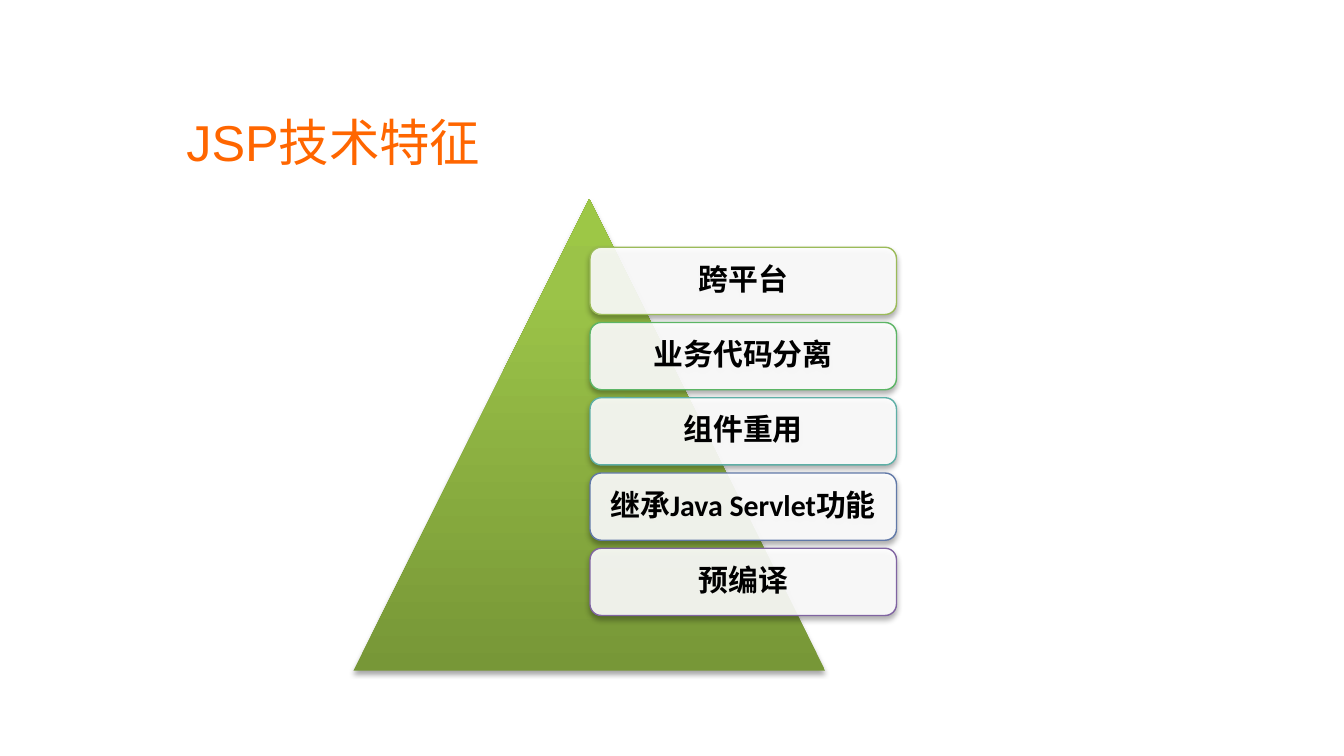
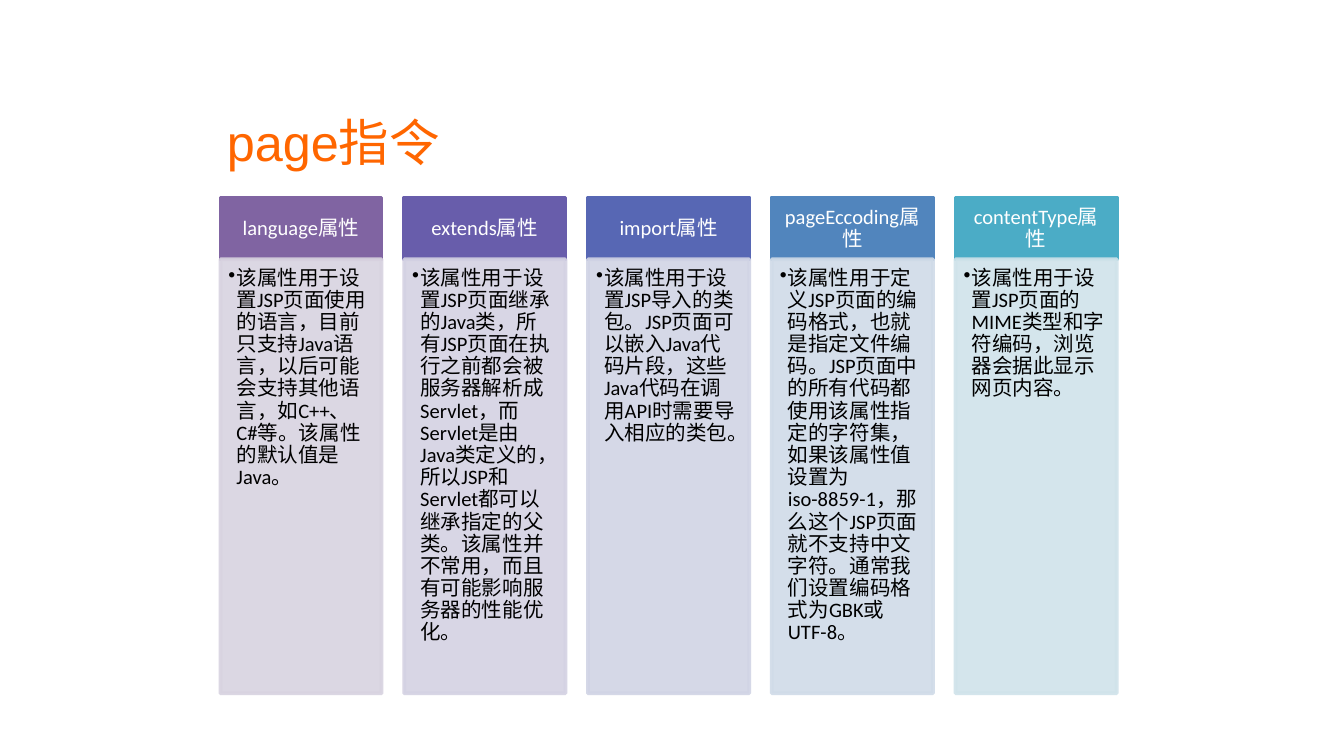
from copy import deepcopy
from dataclasses import dataclass

from lxml.etree import SubElement
from pptx import Presentation
from pptx.dml.color import RGBColor
from pptx.enum.shapes import MSO_SHAPE
from pptx.enum.text import MSO_ANCHOR, MSO_AUTO_SIZE, PP_ALIGN
from pptx.oxml.ns import qn
from pptx.util import Inches, Pt


@dataclass(frozen=True)
class Theme:
    title_font: str = "Arial"
    body_font: str = "Calibri"
    title_color: str = "FF6600"
    dark: str = "000000"
    light: str = "FFFFFF"
    pyramid_stops: tuple = ((0, "779737"), (0.8, "9BC348"), (1, "9DC746"))
    title_size: int = 27
    feature_size: int = 16
    column_size: int = 11


theme = Theme()


def add_panel(page, kind, bounds, fill, line=None, weight=0, opacity=100, line_opacity=100, shadow=False):
    panel = page.shapes.add_shape(kind, *[Inches(value) for value in bounds])
    panel.fill.solid()
    panel.fill.fore_color.rgb = RGBColor.from_string(fill)
    if line:
        panel.line.color.rgb = RGBColor.from_string(line)
        panel.line.width = Pt(weight)
    else:
        panel.line.fill.background()
    properties = panel._element.spPr
    for parent, value in ((properties, opacity), (properties.find(qn("a:ln")), line_opacity)):
        if value < 100:
            color = parent.find(qn("a:solidFill")).find(qn("a:srgbClr"))
            SubElement(color, qn("a:alpha"), val=str(value * 1000))
    panel.shadow.inherit = False
    if shadow:
        outer = SubElement(properties.find(qn("a:effectLst")), qn("a:outerShdw"),
                           blurRad=str(Pt(3.1)), dist=str(Pt(1.8)), dir="5400000", rotWithShape="0")
        color = SubElement(outer, qn("a:srgbClr"), val=theme.dark)
        SubElement(color, qn("a:alpha"), val="35000")
    return panel


def write_text(box, text, font, size, color, insets, bold=False, align=PP_ALIGN.CENTER,
               anchor=MSO_ANCHOR.MIDDLE, spacing=0.9, after=0.35):
    frame = box.text_frame
    frame.word_wrap = True
    frame.auto_size = MSO_AUTO_SIZE.NONE
    frame.vertical_anchor = anchor
    frame.margin_left, frame.margin_top, frame.margin_right, frame.margin_bottom = map(Inches, insets)
    frame.text = text
    para = frame.paragraphs[0]
    para.alignment = align
    para.line_spacing = spacing
    para.space_after = Pt(size * after)
    para.font.name = font
    para.font.size = Pt(size)
    para.font.bold = bold
    para.font.color.rgb = RGBColor.from_string(color)
    return para


deck = Presentation()
deck.slide_width = Inches(10)
deck.slide_height = deck.slide_width * 9 // 16

pages = []
for heading in ("JSP技术特征", "page指令"):
    page = deck.slides.add_slide(deck.slide_layouts[5])
    title = page.shapes.title
    title.left, title.top, title.width, title.height = map(Inches, (0.74, 0.67, 3.48, 0.77))
    write_text(title, heading, theme.title_font, theme.title_size, theme.title_color,
               (0.07, 0.04, 0.07, 0.04), spacing=1.0, after=0)
    pages.append(page)
features_page, directive_page = pages

pyramid = add_panel(features_page, MSO_SHAPE.ISOSCELES_TRIANGLE, (2.63, 1.48, 3.51, 3.51),
                    theme.pyramid_stops[0][1], shadow=True)
pyramid.fill.gradient()
pyramid.fill.gradient_angle = 90
stop_list = pyramid._element.spPr.find(qn("a:gradFill")).find(qn("a:gsLst"))
stop_list.append(deepcopy(stop_list[-1]))
for stop, (position, color) in zip(pyramid.fill.gradient_stops, theme.pyramid_stops):
    stop.position = position
    stop.color.rgb = RGBColor.from_string(color)

features = (
    ("跨平台", "9BBB59"),
    ("业务代码分离", "5CB565"),
    ("组件重用", "5EAFA6"),
    ("继承Java Servlet功能", "6179A8"),
    ("预编译", "8064A2"),
)
for index, (feature, outline) in enumerate(features):
    box = add_panel(features_page, MSO_SHAPE.ROUNDED_RECTANGLE, (4.39, 1.84 + index * 0.56, 2.28, 0.5),
                    theme.light, outline, 0.75, opacity=90, shadow=True)
    write_text(box, feature, theme.body_font, theme.feature_size, theme.dark, (0.07,) * 4, bold=True)

attributes = (
    ("language属性", "8064A2", "D8D3E0",
     "该属性用于设置JSP页面使用的语言，目前只支持Java语言，以后可能会支持其他语言，"
     "如C++、C#等。该属性的默认值是Java。"),
    ("extends属性", "685DAB", "D4D2E3",
     "该属性用于设置JSP页面继承的Java类，所有JSP页面在执行之前都会被服务器解析成Servlet，"
     "而Servlet是由Java类定义的，所以JSP和Servlet都可以继承指定的父类。"
     "该属性并不常用，而且有可能影响服务器的性能优化。"),
    ("import属性", "5767B4", "D1D4E5",
     "该属性用于设置JSP导入的类包。JSP页面可以嵌入Java代码片段，"
     "这些Java代码在调用API时需要导入相应的类包。"),
    ("pageEccoding属性", "5185BD", "D0DBE8",
     "该属性用于定义JSP页面的编码格式，也就是指定文件编码。JSP页面中的所有代码都使用该属性指定的字符集，"
     "如果该属性值设置为iso-8859-1，那么这个JSP页面就不支持中文字符。"
     "通常我们设置编码格式为GBK或UTF-8。"),
    ("contentType属性", "4BACC6", "D0E3EA",
     "该属性用于设置JSP页面的MIME类型和字符编码，浏览器会据此显示网页内容。"),
)
first_left, last_left, column_width = 1.64, 7.11, 1.2
column_pitch = (last_left - first_left) / (len(attributes) - 1)
for index, (name, strong, pale, description) in enumerate(attributes):
    left = first_left + index * column_pitch
    header = add_panel(directive_page, MSO_SHAPE.RECTANGLE, (left, 1.47, column_width, 0.46),
                       strong, strong, 2)
    write_text(header, name, theme.body_font, theme.column_size, theme.light, (0.09, 0.05, 0.09, 0.05))
    body = add_panel(directive_page, MSO_SHAPE.RECTANGLE, (left, 1.93, column_width, 3.23),
                     pale, pale, 2, opacity=90, line_opacity=90)
    para = write_text(body, description, theme.body_font, theme.column_size, theme.dark,
                      (0.06, 0.06, 0.09, 0.1), align=PP_ALIGN.LEFT, anchor=MSO_ANCHOR.TOP, after=0.15)
    para.level = 1
    properties = para._p.get_or_add_pPr()
    properties.set("marL", str(Inches(0.06)))
    properties.set("indent", str(-Inches(0.06)))
    bullet = properties.makeelement(qn("a:buChar"), {"char": "•"})
    properties.find(qn("a:defRPr")).addprevious(bullet)

deck.save("out.pptx")
